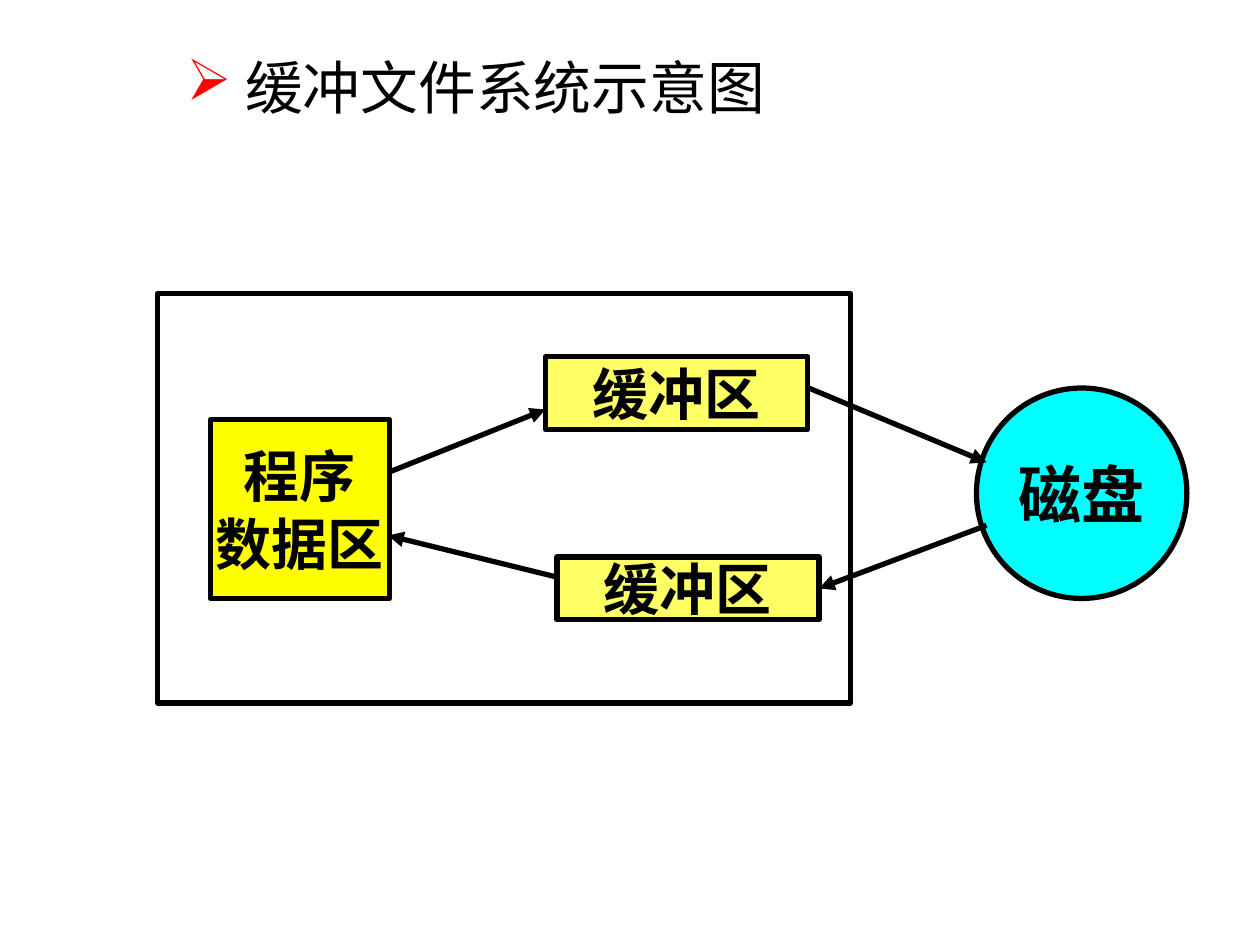
import pptx
import pptx.util
import pptx.dml.color
import pptx.enum.shapes
import pptx.enum.text
import pptx.oxml.ns
import lxml.etree

Inches = pptx.util.Inches
Kind = pptx.enum.shapes.MSO_SHAPE
BLACK = "000000"

TITLE = " 缓冲文件系统示意图"
# kind, left, top, width, height, fill, lines of text, text size
NODES = [
    (Kind.RECTANGLE, 1.67, 3.33, 1.42, 1.42, "FFFF00", ["程序", "数据区"], 32),
    (Kind.RECTANGLE, 4.33, 2.83, 2.08, 0.58, "FFFF66", ["缓冲区"], 32),
    (Kind.RECTANGLE, 4.42, 4.42, 2.08, 0.5, "FFFF66", ["缓冲区"], 32),
    (Kind.OVAL, 7.75, 3.08, 1.67, 1.67, "00FFFF", ["磁盘"], 36),
    (Kind.RECTANGLE, 1.25, 2.33, 5.5, 3.25, None, [], 32),
]
# start x, start y, end x, end y, in the direction of the data flow
FLOWS = [
    (3.08, 3.75, 4.33, 3.25),
    (6.42, 3.08, 7.83, 3.67),
    (7.83, 4.17, 6.5, 4.67),
    (4.42, 4.58, 3.08, 4.25),
]


def color(code):
    """Turn a hex string into a colour."""
    return pptx.dml.color.RGBColor.from_string(code)


def add_xml(parent, tag, **attrs):
    """Append a drawing element to parent."""
    return lxml.etree.SubElement(parent, pptx.oxml.ns.qn(tag), attrs)


def write(frame, lines, size=32, font="Times New Roman", bold=True, wrap=False, space=None):
    """Fill a text frame with centred, formatted lines."""
    frame.word_wrap = wrap
    frame.vertical_anchor = pptx.enum.text.MSO_ANCHOR.MIDDLE
    for i, line in enumerate(lines):
        para = frame.paragraphs[0] if i == 0 else frame.add_paragraph()
        para.alignment = pptx.enum.text.PP_ALIGN.CENTER
        if space:
            para.line_spacing = space
        run = para.add_run()
        run.text = line
        run.font.size = pptx.util.Pt(size)
        run.font.name = font
        run.font.bold = bold
        run.font.color.rgb = color(BLACK)


def stroke(item):
    """Give a shape or connector the black line."""
    item.line.color.rgb = color(BLACK)
    item.line.width = pptx.util.Pt(3)


def add_node(slide, kind, left, top, width, height, fill, lines, size):
    """Draw one outlined shape with its label."""
    node = slide.shapes.add_shape(kind, *map(Inches, (left, top, width, height)))
    node.shadow.inherit = False
    if fill:
        node.fill.solid()
        node.fill.fore_color.rgb = color(fill)
    else:
        node.fill.background()
    stroke(node)
    write(node.text_frame, lines, size=size)


def add_flow(slide, *ends):
    """Draw one arrow."""
    flow = slide.shapes.add_connector(
        pptx.enum.shapes.MSO_CONNECTOR.STRAIGHT, *map(Inches, ends))
    stroke(flow)
    add_xml(flow.line._get_or_add_ln(), "a:tailEnd", type="triangle")
    add_xml(flow._element.spPr, "a:effectLst")


def set_title(slide):
    """Place the title and give it a red arrow bullet."""
    title = slide.shapes.title
    title.left, title.top, title.width, title.height = map(Inches, (0.5, 0.25, 6.55, 0.94))
    write(title.text_frame, [TITLE], size=33, font="Calibri", bold=False, wrap=True, space=0.9)
    props = title.text_frame.paragraphs[0]._p.get_or_add_pPr()
    add_xml(add_xml(props, "a:buClr"), "a:srgbClr", val="FF0000")
    add_xml(props, "a:buChar", char="➢")


deck = pptx.Presentation()
deck.slide_width, deck.slide_height = Inches(10), Inches(7.5)
slide = deck.slides.add_slide(deck.slide_layouts[5])
set_title(slide)
for node in NODES:
    add_node(slide, *node)
for flow in FLOWS:
    add_flow(slide, *flow)
deck.save("out.pptx")
